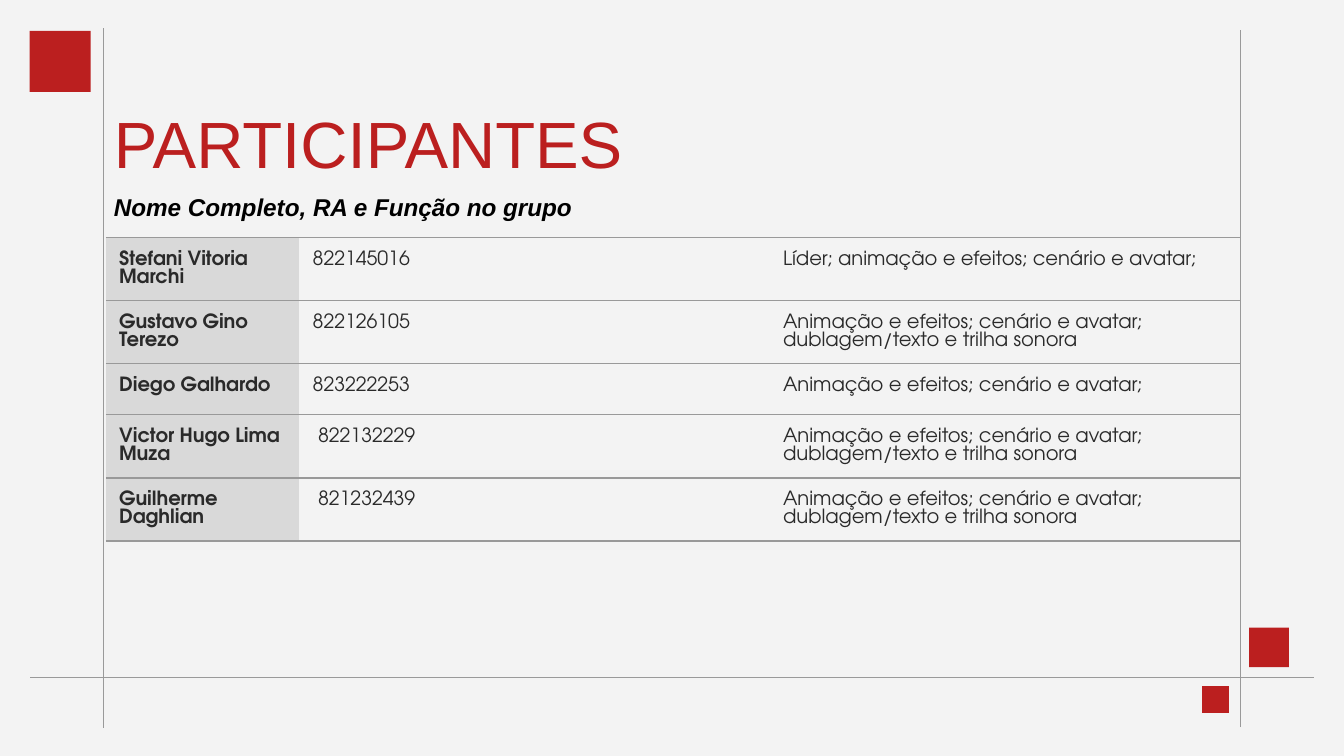
from lxml import etree
from pptx import Presentation
from pptx.dml.color import RGBColor
from pptx.enum.shapes import MSO_CONNECTOR, MSO_SHAPE
from pptx.enum.text import MSO_ANCHOR
from pptx.oxml.ns import qn
from pptx.util import Inches, Pt

RED = RGBColor(0xBB, 0x1F, 0x1F)
GRAY = RGBColor(0x99, 0x99, 0x99)
LIGHT_GRAY = RGBColor(0xD9, 0xD9, 0xD9)
BACKGROUND = RGBColor(0xF3, 0xF3, 0xF3)
INK = RGBColor(0x2A, 0x2A, 0x2A)
BLACK = RGBColor(0, 0, 0)
RECTANGLE = MSO_SHAPE.RECTANGLE
STRAIGHT = MSO_CONNECTOR.STRAIGHT
TOP = MSO_ANCHOR.TOP

TITLE_FONT = "Arial"
TABLE_FONT = "TeX Gyre Adventor"
SLIDE_COLUMNS, SLIDE_ROWS = 100, 56.25
LINE_WIDTH = Pt(0.75)

SHORT_ROLE = "Animação e efeitos; cenário e avatar;"
LONG_ROLE = SHORT_ROLE + " dublagem/texto e trilha sonora"
PARTICIPANTS = [
    ("Stefani Vitoria Marchi", "822145016", "Líder; animação e efeitos; cenário e avatar;"),
    ("Gustavo Gino Terezo", "822126105", LONG_ROLE),
    ("Diego Galhardo", "823222253", SHORT_ROLE),
    ("Victor Hugo Lima Muza", " 822132229", LONG_ROLE),
    ("Guilherme Daghlian", " 821232439", LONG_ROLE),
]
ROW_HEIGHTS = (4.7, 4.7, 3.8, 4.7, 4.7)


class SlideBuilder:
    """Draws styled elements on a slide with a grid of tenths of an inch."""

    def __init__(self, presentation):
        presentation.slide_width = self.units(SLIDE_COLUMNS)
        presentation.slide_height = self.units(SLIDE_ROWS)
        self.slide = presentation.slides.add_slide(presentation.slide_layouts[6])
        fill = self.slide.background.fill
        fill.solid()
        fill.fore_color.rgb = BACKGROUND

    def units(self, count):
        return Inches(count / 10)

    def box(self, *cells):
        return [self.units(count) for count in cells]

    def format(self, paragraph, font_name, size, color, bold=False, italic=False):
        for run in paragraph.runs:
            font = run.font
            font.name, font.size = font_name, Pt(size)
            font.bold, font.italic = bold, italic
            font.color.rgb = color

    def square(self, column, row, side):
        shape = self.slide.shapes.add_shape(RECTANGLE, *self.box(column, row, side, side))
        shape.shadow.inherit = False
        shape.fill.solid()
        shape.fill.fore_color.rgb = RED
        shape.line.fill.background()

    def line(self, *ends):
        connector = self.slide.shapes.add_connector(STRAIGHT, *self.box(*ends))
        connector.line.color.rgb = GRAY
        connector.line.width = LINE_WIDTH
        etree.SubElement(connector._element.spPr, qn("a:effectLst"))

    def heading(self, title, subtitle, column, row, width, height):
        shape = self.slide.shapes.add_textbox(*self.box(column, row, width, height))
        text_frame = shape.text_frame
        text_frame.word_wrap = True
        text_frame.vertical_anchor = TOP
        text_frame.margin_left = text_frame.margin_right = self.units(1)
        text_frame.margin_top = text_frame.margin_bottom = self.units(1)
        text_frame.text = f"{title}\n{subtitle}"
        first, second = text_frame.paragraphs
        self.format(first, TITLE_FONT, 35, RED)
        second.line_spacing = 1.36
        self.format(second, TITLE_FONT, 13, BLACK, bold=True, italic=True)

    def borders(self, cell):
        properties = cell._tc.get_or_add_tcPr()
        for index, side in enumerate(("lnL", "lnR", "lnT", "lnB")):
            border = etree.Element(qn(f"a:{side}"), w=str(LINE_WIDTH))
            if side in ("lnT", "lnB"):
                fill = etree.SubElement(border, qn("a:solidFill"))
                etree.SubElement(fill, qn("a:srgbClr"), val=str(GRAY))
            else:
                etree.SubElement(border, qn("a:noFill"))
            properties.insert(index, border)

    def table(self, records, column, row, widths, heights):
        frame = self.slide.shapes.add_table(
            len(records), len(widths),
            *self.box(column, row, sum(widths), sum(heights)))
        table = frame.table
        table.first_row = table.horz_banding = False
        for table_column, width in zip(table.columns, widths):
            table_column.width = self.units(width)
        for row_index, record in enumerate(records):
            table.rows[row_index].height = self.units(heights[row_index])
            for column_index, text in enumerate(record):
                is_name = column_index == 0
                cell = table.cell(row_index, column_index)
                cell.margin_left = cell.margin_right = cell.margin_top = self.units(1)
                cell.margin_bottom = self.units(0.1)
                cell.vertical_anchor = TOP
                cell.text_frame.text = text
                self.format(cell.text_frame.paragraphs[0], TABLE_FONT, 10.5, INK, bold=is_name)
                if is_name:
                    cell.fill.solid()
                    cell.fill.fore_color.rgb = LIGHT_GRAY
                else:
                    cell.fill.background()
                self.borders(cell)


def main():
    presentation = Presentation()
    builder = SlideBuilder(presentation)
    builder.square(92.95, 46.7, 2.95)
    builder.line(2.25, 50.4, 97.8, 50.4)
    builder.line(92.3, 54.1, 92.3, 2.2)
    builder.square(2.2, 2.3, 4.55)
    builder.square(89.45, 51.05, 2)
    builder.heading("PARTICIPANTES", "Nome Completo, RA e Função no grupo", 7.5, 6.7, 84.4, 12.6)
    builder.table(PARTICIPANTS, 7.87, 17.67, (14.4, 35, 35), ROW_HEIGHTS)
    builder.line(7.72, 2.1, 7.72, 54.2)
    presentation.save("out.pptx")


if __name__ == "__main__":
    main()
